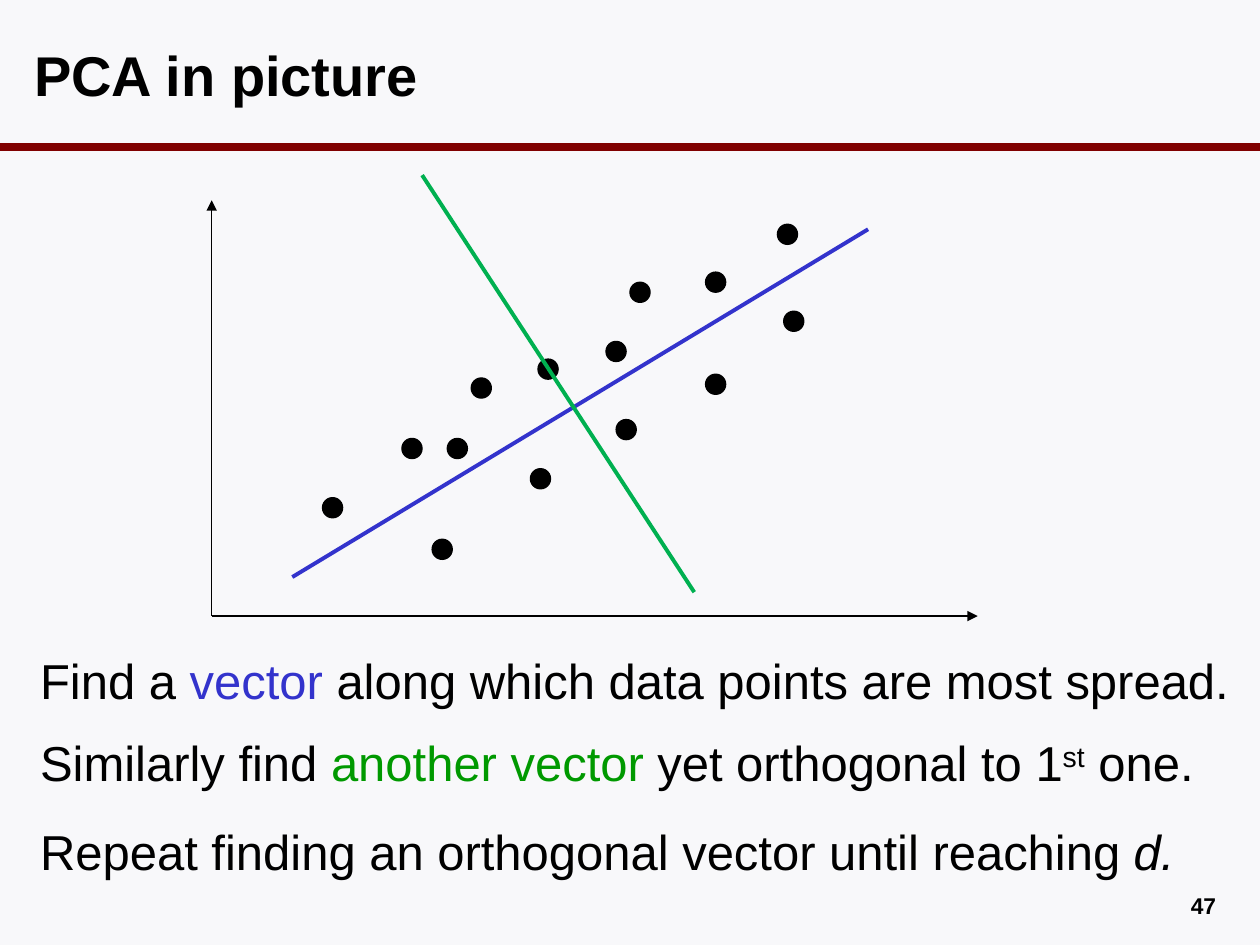
from dataclasses import dataclass

from lxml.etree import SubElement
from pptx import Presentation
from pptx.dml.color import RGBColor
from pptx.enum.shapes import MSO_CONNECTOR, MSO_SHAPE
from pptx.enum.text import MSO_ANCHOR, MSO_AUTO_SIZE, PP_ALIGN
from pptx.oxml.ns import qn
from pptx.util import Inches, Pt

COLORS = {
    "back": "F8F8FA",
    "black": "000000",
    "rule": "800000",
    "first": "3333CC",
    "second": "00B050",
    "green": "009900",
}
FONT = "Arial"
DOT = 0.16


@dataclass
class Line:
    start: tuple[float, float]
    end: tuple[float, float]
    color: str = "black"
    width: float = 0.75
    arrow: bool = False


@dataclass
class Span:
    text: str
    color: str = "black"
    raised: bool = False
    italic: bool = False


@dataclass
class Note:
    box: tuple[float, float, float, float]
    spans: list[Span]
    size: float = 28
    bold: bool = False
    align: PP_ALIGN = PP_ALIGN.LEFT
    anchor: MSO_ANCHOR = MSO_ANCHOR.MIDDLE


def color(name: str) -> RGBColor:
    return RGBColor.from_string(COLORS[name])


def draw_line(slide, item: Line) -> None:
    ends = [Inches(v) for v in (*item.start, *item.end)]
    line = slide.shapes.add_connector(MSO_CONNECTOR.STRAIGHT, *ends)
    line.line.color.rgb = color(item.color)
    line.line.width = Pt(item.width)
    if item.arrow:
        SubElement(line.line._get_or_add_ln(), qn("a:tailEnd"), type="triangle")
    SubElement(line._element.spPr, qn("a:effectLst"))


def draw_dot(slide, left: float, top: float) -> None:
    dot = slide.shapes.add_shape(
        MSO_SHAPE.OVAL, Inches(left), Inches(top), Inches(DOT), Inches(DOT))
    dot.shadow.inherit = False
    dot.fill.solid()
    dot.fill.fore_color.rgb = color("black")
    dot.line.color.rgb = color("black")
    dot.line.width = Pt(0.75)


def fill_text(shape, note: Note) -> None:
    shape.left, shape.top, shape.width, shape.height = map(Inches, note.box)
    frame = shape.text_frame
    frame.word_wrap = True
    frame.auto_size = MSO_AUTO_SIZE.NONE
    frame.vertical_anchor = note.anchor
    para = frame.paragraphs[0]
    para.alignment = note.align
    para.font.name = FONT
    para.font.size = Pt(note.size)
    para.font.bold = note.bold
    for span in note.spans:
        run = para.add_run()
        run.text = span.text
        run.font.color.rgb = color(span.color)
        if span.italic:
            run.font.italic = True
        if span.raised:
            run._r.get_or_add_rPr().set("baseline", "30000")


def draw_note(slide, note: Note) -> None:
    fill_text(slide.shapes.add_textbox(*map(Inches, note.box)), note)


TITLE = Note((0.17, 0.17, 9.56, 0.83), [Span("PCA in picture")], 32, True)
PAGE = Note((7.42, 7.03, 2.33, 0.27), [Span("47")], 13, True,
            PP_ALIGN.RIGHT, MSO_ANCHOR.TOP)
RULE = Line((0, 1.17), (10, 1.17), "rule", 4.5)

ORIGIN = (1.68, 4.89)
AXES = [
    Line(ORIGIN, (1.68, 1.59), arrow=True),
    Line(ORIGIN, (7.76, 4.89), arrow=True),
]
DOTS = [
    (2.56, 3.95), (3.43, 4.28), (3.19, 3.48), (3.74, 3), (4.21, 3.72),
    (3.55, 3.48), (4.27, 2.85), (4.89, 3.33), (5, 2.24), (5.6, 2.97),
    (4.81, 2.71), (5.6, 2.16), (6.22, 2.47), (6.17, 1.78),
]
FIRST = Line((2.32, 4.58), (6.89, 1.82), "first", 2.25)
SECOND = Line((5.51, 4.7), (3.35, 1.39), "second", 2.25)

STEPS = [
    Note((0.22, 5.09, 9.88, 0.61), [
        Span("Find a "),
        Span("vector", "first"),
        Span(" along which data points are most spread."),
    ]),
    Note((0.22, 5.71, 9.84, 0.68), [
        Span("Similarly find "),
        Span("another vector ", "green"),
        Span("yet orthogonal to 1"),
        Span("st", raised=True),
        Span(" one."),
    ]),
    Note((0.22, 6.41, 9.84, 0.68), [
        Span("Repeat finding an orthogonal vector until reaching "),
        Span("d.", italic=True),
    ]),
]


def main() -> None:
    deck = Presentation()
    deck.slide_width, deck.slide_height = Inches(10), Inches(7.5)
    slide = deck.slides.add_slide(deck.slide_layouts[5])
    slide.background.fill.solid()
    slide.background.fill.fore_color.rgb = color("back")

    # Heading and page number
    draw_line(slide, RULE)
    fill_text(slide.shapes.title, TITLE)
    draw_note(slide, PAGE)

    # Scatter with its axes and two components
    for axis in AXES:
        draw_line(slide, axis)
    for spot in DOTS:
        draw_dot(slide, *spot)
    draw_line(slide, FIRST)
    draw_line(slide, SECOND)

    # Explanation
    for step in STEPS:
        draw_note(slide, step)

    deck.save("out.pptx")


if __name__ == "__main__":
    main()
